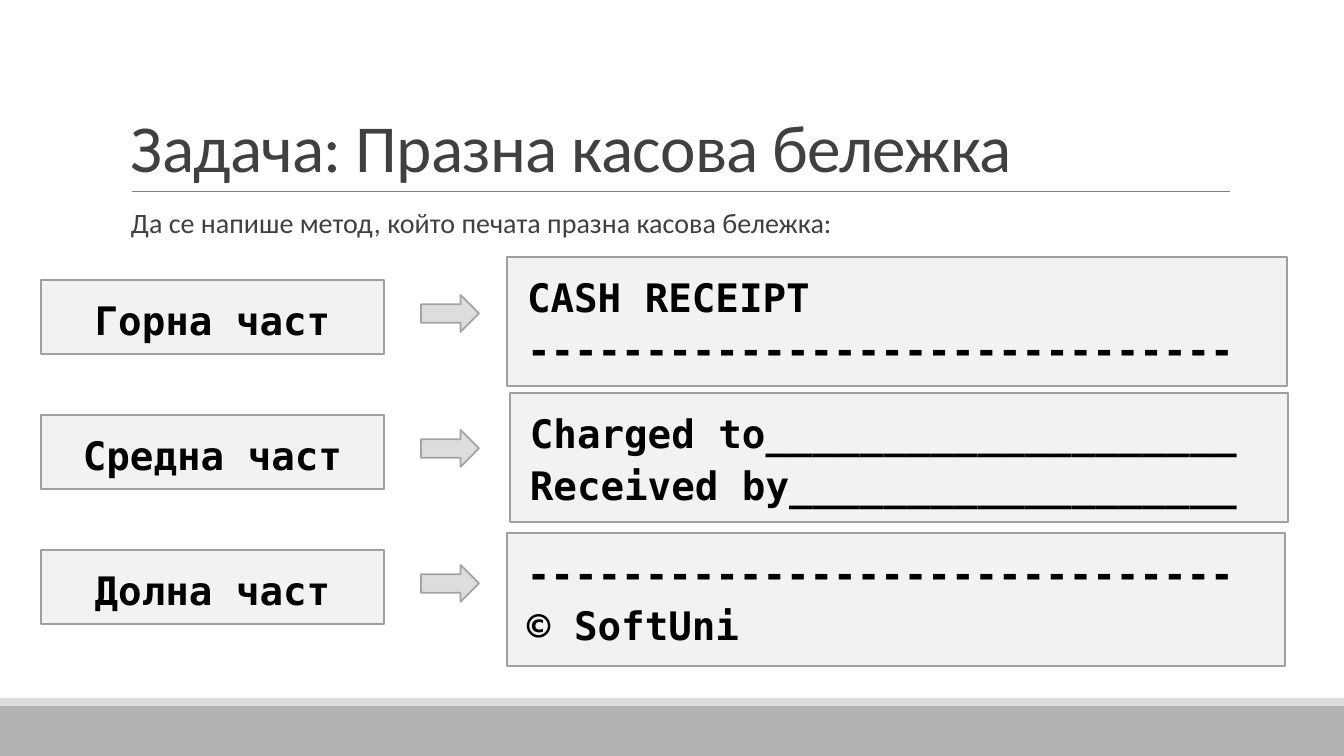
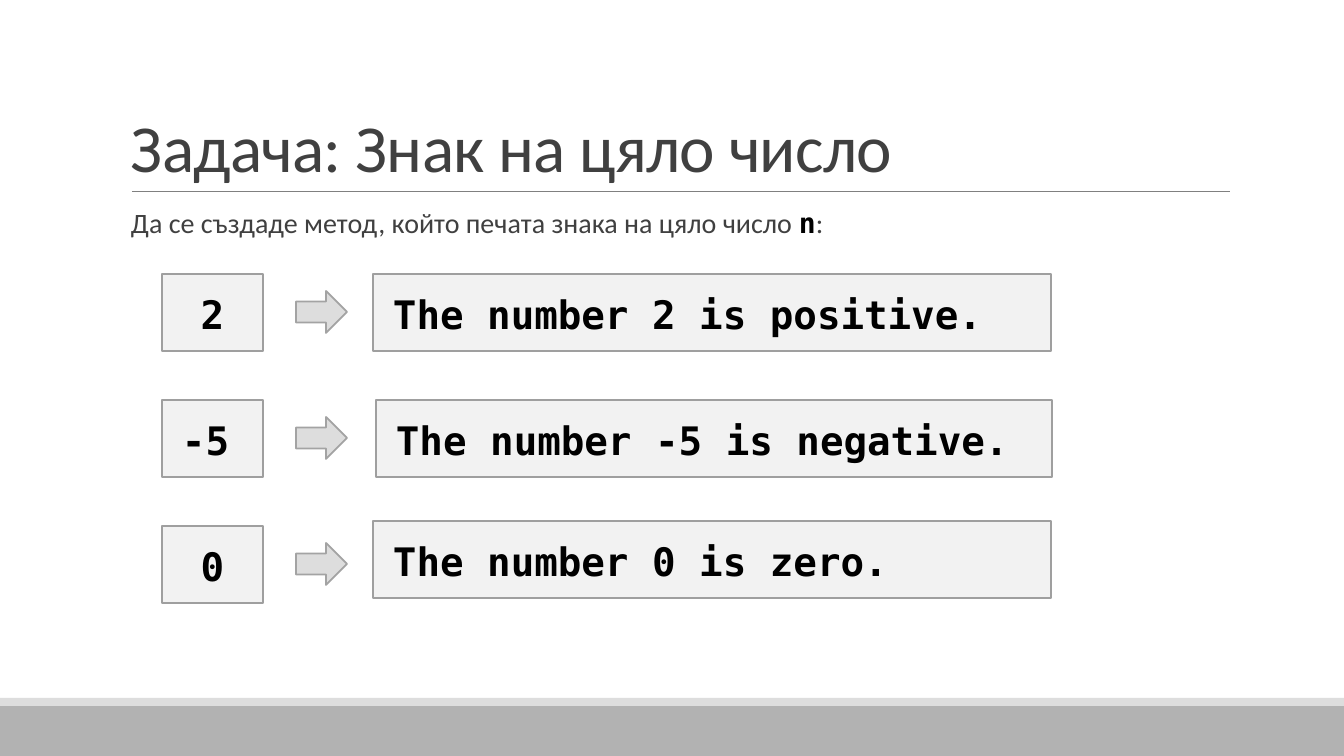
"""Build two method-exercise slides: an empty receipt and the sign of an integer."""
import pptx
import pptx.dml.color
import pptx.enum.shapes
import pptx.enum.text
import pptx.oxml
import pptx.oxml.ns
import pptx.util
from lxml import etree

PX = 914400 / 100.8
WIDTH, HEIGHT = 1344, 756
BODY_FONT, CODE_FONT = "Calibri", "DejaVu Sans Mono"
COLORS = {
    "band": "B2B2B2",
    "stripe": "DDDDDD",
    "rule": "808080",
    "text": "404040",
    "code": "000000",
    "box": "BFBFBF",
    "box_line": "9F9F9F",
    "arrow": "DDDDDD",
    "arrow_line": "A3A3A3",
}
SHAPES = pptx.enum.shapes.MSO_SHAPE
ANCHOR = pptx.enum.text.MSO_ANCHOR
ALIGN = pptx.enum.text.PP_ALIGN

TITLE_STYLE = {"font": BODY_FONT, "size": 48, "color": "text", "tracking": -50}
BODY_STYLE = {"font": BODY_FONT, "size": 20, "color": "text"}
INLINE_CODE_STYLE = {"font": CODE_FONT, "size": 20, "color": "code", "bold": True}
CODE_STYLE = {"font": CODE_FONT, "size": 28, "color": "code", "bold": True}

DASHES = "-" * 30
SLIDES = [
    {
        "title": "Задача: Празна касова бележка",
        "task": [("Да се напише метод, който печата празна касова бележка:", BODY_STYLE)],
        "first_top": 280,
        "row_step": 135,
        "label": {"left": 41, "width": 343, "height": 74},
        "arrow": {"left": 421, "width": 58, "height": 37, "offset": 15},
        "rows": [
            ("Горна част", ALIGN.CENTER, ["CASH RECEIPT", DASHES], (507, 257, 780, 129)),
            ("Средна част", ALIGN.CENTER,
             ["Charged to" + "_" * 20, "Received by" + "_" * 19], (510, 393, 778, 129)),
            ("Долна част", ALIGN.CENTER, [DASHES, "© SoftUni"], (507, 533, 778, 133)),
        ],
    },
    {
        "title": "Задача: Знак на цяло число",
        "task": [
            ("Да се създаде метод, който печата знака на цяло число ", BODY_STYLE),
            ("n", INLINE_CODE_STYLE),
            (":", BODY_STYLE),
        ],
        "first_top": 274,
        "row_step": 126,
        "label": {"left": 162, "width": 101, "height": 77},
        "arrow": {"left": 296, "width": 51, "height": 42, "offset": 17},
        "rows": [
            ("2", ALIGN.CENTER, ["The number 2 is positive."], (373, 274, 678, 77)),
            ("-5", ALIGN.LEFT, ["The number -5 is negative."], (376, 400, 676, 77)),
            ("0", ALIGN.CENTER, ["The number 0 is zero."], (373, 521, 678, 77)),
        ],
    },
]


def px(length):
    return pptx.util.Emu(round(length * PX))


def rgb(name):
    return pptx.dml.color.RGBColor.from_string(COLORS[name])


def write_text(shape, paragraphs, spacing, insets, anchor=ANCHOR.TOP, align=ALIGN.LEFT):
    frame = shape.text_frame
    frame.word_wrap = True
    frame.vertical_anchor = anchor
    frame.margin_left = frame.margin_right = px(insets[0])
    frame.margin_top = frame.margin_bottom = px(insets[1])
    for index, runs in enumerate(paragraphs):
        paragraph = frame.add_paragraph() if index else frame.paragraphs[0]
        paragraph.line_spacing = spacing
        paragraph.alignment = align
        for text, style in runs:
            run = paragraph.add_run()
            run.text = text
            run.font.name = style["font"]
            run.font.size = pptx.util.Pt(style["size"])
            run.font.bold = style.get("bold", False)
            run.font.color.rgb = rgb(style["color"])
            if "tracking" in style:
                run._r.get_or_add_rPr().set("spc", str(style["tracking"]))


def add_filled(slide, kind, bounds, fill, line=None, line_width=1, opacity=None):
    shape = slide.shapes.add_shape(kind, *map(px, bounds))
    shape.shadow.inherit = False
    shape.fill.solid()
    shape.fill.fore_color.rgb = rgb(fill)
    if opacity is not None:
        color = shape._element.spPr.find(".//" + pptx.oxml.ns.qn("a:srgbClr"))
        etree.SubElement(color, pptx.oxml.ns.qn("a:alpha"), val=str(opacity * 1000))
    if line:
        shape.line.color.rgb = rgb(line)
        shape.line.width = pptx.util.Pt(line_width)
    else:
        shape.line.fill.background()
    return shape


def add_code_box(slide, bounds, lines, align=ALIGN.LEFT):
    box = add_filled(slide, SHAPES.RECTANGLE, bounds, "box", "box_line", opacity=20)
    write_text(box, [[(line, CODE_STYLE)] for line in lines], 1.1, (20, 12), align=align)


def add_frame(slide, title, task):
    add_filled(slide, SHAPES.RECTANGLE, (0, 706, WIDTH, HEIGHT - 706), "band")
    add_filled(slide, SHAPES.RECTANGLE, (0, 698, WIDTH, 8), "stripe")
    rule = slide.shapes.add_connector(
        pptx.enum.shapes.MSO_CONNECTOR.STRAIGHT, px(132), px(191), px(1230), px(191))
    rule.line.color.rgb = rgb("rule")
    rule.line.width = pptx.util.Pt(0.5)
    etree.SubElement(rule._element.spPr, pptx.oxml.ns.qn("a:effectLst"))
    title_box = slide.shapes.add_textbox(px(121), px(31), px(1109), px(160))
    write_text(title_box, [[(title, TITLE_STYLE)]], 0.85, (10, 5), ANCHOR.BOTTOM)
    task_box = slide.shapes.add_textbox(px(131), px(204), px(1099), px(44))
    write_text(task_box, [task], 0.9, (0, 5))


def add_rows(slide, content):
    label, arrow = content["label"], content["arrow"]
    for index, (name, align, lines, output_bounds) in enumerate(content["rows"]):
        top = content["first_top"] + index * content["row_step"]
        add_code_box(slide, (label["left"], top, label["width"], label["height"]), [name], align)
        arrow_bounds = (arrow["left"], top + arrow["offset"], arrow["width"], arrow["height"])
        add_filled(slide, SHAPES.RIGHT_ARROW, arrow_bounds, "arrow", "arrow_line", 1.25)
        add_code_box(slide, output_bounds, lines)


def main():
    presentation = pptx.Presentation()
    presentation.slide_width, presentation.slide_height = px(WIDTH), px(HEIGHT)
    for content in SLIDES:
        slide = presentation.slides.add_slide(presentation.slide_layouts[6])
        add_frame(slide, content["title"], content["task"])
        add_rows(slide, content)
    presentation.save("out.pptx")


if __name__ == "__main__":
    main()
